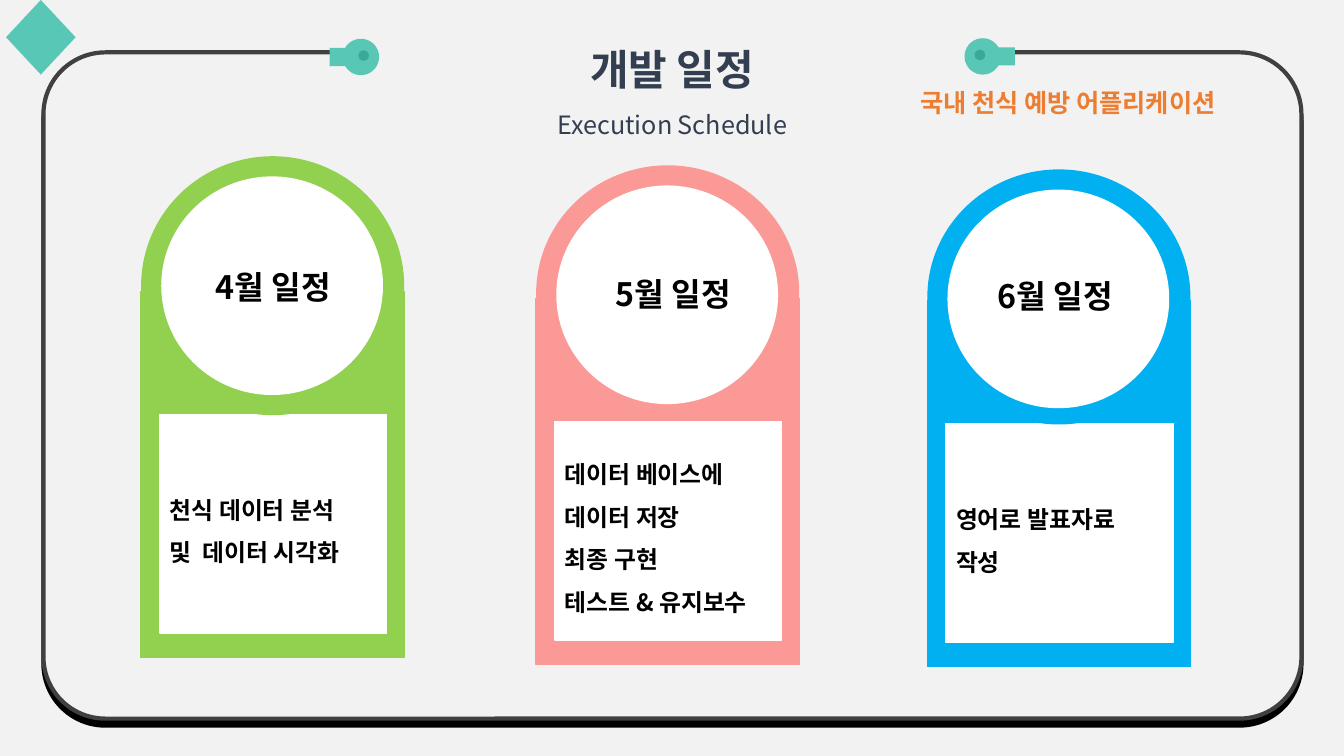
from math import cos, radians, sin

from pptx import Presentation
from pptx.dml.color import RGBColor
from pptx.enum.shapes import MSO_SHAPE as Preset
from pptx.enum.text import MSO_ANCHOR as Anchor, PP_ALIGN as Align
from pptx.oxml import parse_xml
from pptx.oxml.ns import nsdecls, qn
from pptx.util import Pt

TITLE = "개발 일정"
SUBTITLE = "Execution Schedule"
PROJECT = "국내 천식 예방 어플리케이션"
MONTHS = [
    {"label": "4월 일정", "color": "92D050", "left": 100.8, "cap_top": 111.6,
     "cap_height": 185, "body_top": 208.1, "label_left": 111.6,
     "tasks": ["천식 데이터 분석", "및  데이터 시각화"]},
    {"label": "5월 일정", "color": "FB9997", "left": 383, "cap_top": 118.1,
     "cap_height": 182.2, "body_top": 213.1, "label_left": 397.4,
     "tasks": ["데이터 베이스에", "데이터 저장", "최종 구현", "테스트 & 유지보수"]},
    {"label": "6월 일정", "color": "00B0F0", "left": 662.4, "cap_top": 121,
     "cap_height": 182.2, "body_top": 214.6, "label_left": 670.3,
     "tasks": ["영어로 발표자료 작성"]},
]
TABS = [
    {"center": (702, 40.3), "stem_end": 725, "side": 1},
    {"center": (257.8, 40.7), "stem_end": 235.4, "side": -1},
]
THEME = {
    "font": "Noto Sans CJK KR",
    "paper": "F2F2F2", "frame": "404040", "shadow": "000000",
    "title": "333F50", "accent": "ED7D31", "text": "000000",
    "panel": "FFFFFF", "mint": "59C7B6", "hole": "39A999",
    "title_size": 30, "subtitle_size": 18, "project_size": 18,
    "label_size": 23, "task_size": 17,
}
COLUMN_WIDTH, BODY_HEIGHT = 187.9, 261.4
DISC_INSET, DISC_WIDTH, DISC_HEIGHT = 14.4, 158.4, 156.2
PANEL_INSET, PANEL_DROP, PANEL_WIDTH, PANEL_HEIGHT = 13.4, 88, 162, 156.2
KNOB_RADIUS, HOLE_RADIUS = 13, 3.8


def rgb(name):
    return RGBColor.from_string(THEME.get(name, name))


def add_shape(shapes, preset, box, fill, line=None, weight=1):
    shape = shapes.add_shape(preset, *map(Pt, box))
    shape.shadow.inherit = False
    shape.fill.solid()
    shape.fill.fore_color.rgb = rgb(fill)
    if line:
        shape.line.color.rgb = rgb(line)
        shape.line.width = Pt(weight)
    else:
        shape.line.fill.background()
    return shape


def write(frame, lines, color, sizes, align, bold=(True,), spacing=None):
    frame.text = "\n".join(lines)
    for index, paragraph in enumerate(frame.paragraphs):
        paragraph.alignment = align
        if spacing:
            paragraph.line_spacing = spacing
        font = paragraph.font
        font.name = THEME["font"]
        font.size = Pt(THEME[sizes[index % len(sizes)]])
        font.bold = bold[index % len(bold)]
        font.color.rgb = rgb(color)
        properties = paragraph._p.pPr.find(qn("a:defRPr"))
        properties.append(parse_xml(
            f'<a:ea {nsdecls("a")} typeface="{THEME["font"]}"/>'))


def add_label(slide, box, text, color, size, align, wrap=True):
    frame = slide.shapes.add_textbox(*map(Pt, box)).text_frame
    frame.word_wrap = wrap
    write(frame, [text], color, [size], align)


def add_frame(slide):
    frame = add_shape(slide.shapes, Preset.ROUNDED_RECTANGLE,
                      (31, 37.4, 898.6, 475.9), "paper", "frame", 3)
    frame.adjustments[0] = 0.093
    properties = frame._element.spPr
    properties.remove(properties.find(qn("a:effectLst")))
    properties.append(parse_xml(
        f'<a:effectLst {nsdecls("a")}><a:outerShdw blurRad="0" dist="{Pt(5)}" '
        f'dir="5400000" algn="t" rotWithShape="0">'
        f'<a:srgbClr val="{THEME["shadow"]}"/></a:outerShdw></a:effectLst>'))


def add_title(slide):
    title = slide.shapes.title
    title.left, title.top, title.width, title.height = map(
        Pt, (239, 9.4, 482.4, 94.3))
    title.fill.solid()
    title.fill.fore_color.rgb = rgb("paper")
    frame = title.text_frame
    frame.word_wrap = True
    frame.vertical_anchor = Anchor.TOP
    write(frame, [TITLE, SUBTITLE], "title", ["title_size", "subtitle_size"],
          Align.CENTER, (True, False), 1.5)
    slide.shapes._spTree.append(title._element)


def add_tab(slide, center, stem_end, side):
    shapes = slide.shapes.add_group_shape().shapes
    x, y = center
    stem = KNOB_RADIUS / 2
    outline = [(x + side * KNOB_RADIUS * cos(radians(angle)),
                y + KNOB_RADIUS * sin(radians(angle)))
               for angle in range(30, 331, 10)]
    outline += [(stem_end, y - stem), (stem_end, y + stem)]
    points = [(Pt(across), Pt(down)) for across, down in outline]
    builder = shapes.build_freeform(*points[0])
    builder.add_line_segments(points[1:], close=True)
    knob = builder.convert_to_shape()
    knob.shadow.inherit = False
    knob.fill.solid()
    knob.fill.fore_color.rgb = rgb("mint")
    knob.line.fill.background()
    hole_x = x - side * 2
    add_shape(shapes, Preset.OVAL,
              (hole_x - HOLE_RADIUS, y - 1 - HOLE_RADIUS,
               2 * HOLE_RADIUS, 2 * HOLE_RADIUS), "hole")


def add_month(slide, month):
    shapes, color = slide.shapes, month["color"]
    left, cap_top, body_top = month["left"], month["cap_top"], month["body_top"]
    add_shape(shapes, Preset.RECTANGLE,
              (left, body_top, COLUMN_WIDTH, BODY_HEIGHT), color, color)
    panel = add_shape(shapes, Preset.RECTANGLE,
                      (left + PANEL_INSET, body_top + PANEL_DROP,
                       PANEL_WIDTH, PANEL_HEIGHT), "panel", "panel")
    panel.text_frame.word_wrap = True
    panel.text_frame.vertical_anchor = Anchor.MIDDLE
    write(panel.text_frame, month["tasks"], "text", ["task_size"],
          Align.LEFT, spacing=1.5)
    add_shape(shapes, Preset.OVAL,
              (left, cap_top, COLUMN_WIDTH, month["cap_height"]), color)
    add_shape(shapes, Preset.OVAL,
              (left + DISC_INSET, cap_top + DISC_INSET,
               DISC_WIDTH, DISC_HEIGHT), "panel")
    add_label(slide, (month["label_left"], body_top - 20.5, 167, 35.3),
              month["label"], "text", "label_size", Align.CENTER)


def main():
    presentation = Presentation()
    presentation.slide_width, presentation.slide_height = Pt(960), Pt(540)
    slide = presentation.slides.add_slide(presentation.slide_layouts[5])
    slide.background.fill.solid()
    slide.background.fill.fore_color.rgb = rgb("paper")
    add_frame(slide)
    add_title(slide)
    for tab in TABS:
        add_tab(slide, **tab)
    add_shape(slide.shapes, Preset.DIAMOND, (4.3, 0, 49.7, 53.3), "mint")
    for month in MONTHS:
        add_month(slide, month)
    add_label(slide, (650.2, 59, 252, 28.8), PROJECT, "accent",
              "project_size", Align.LEFT, wrap=False)
    presentation.save("out.pptx")


if __name__ == "__main__":
    main()
